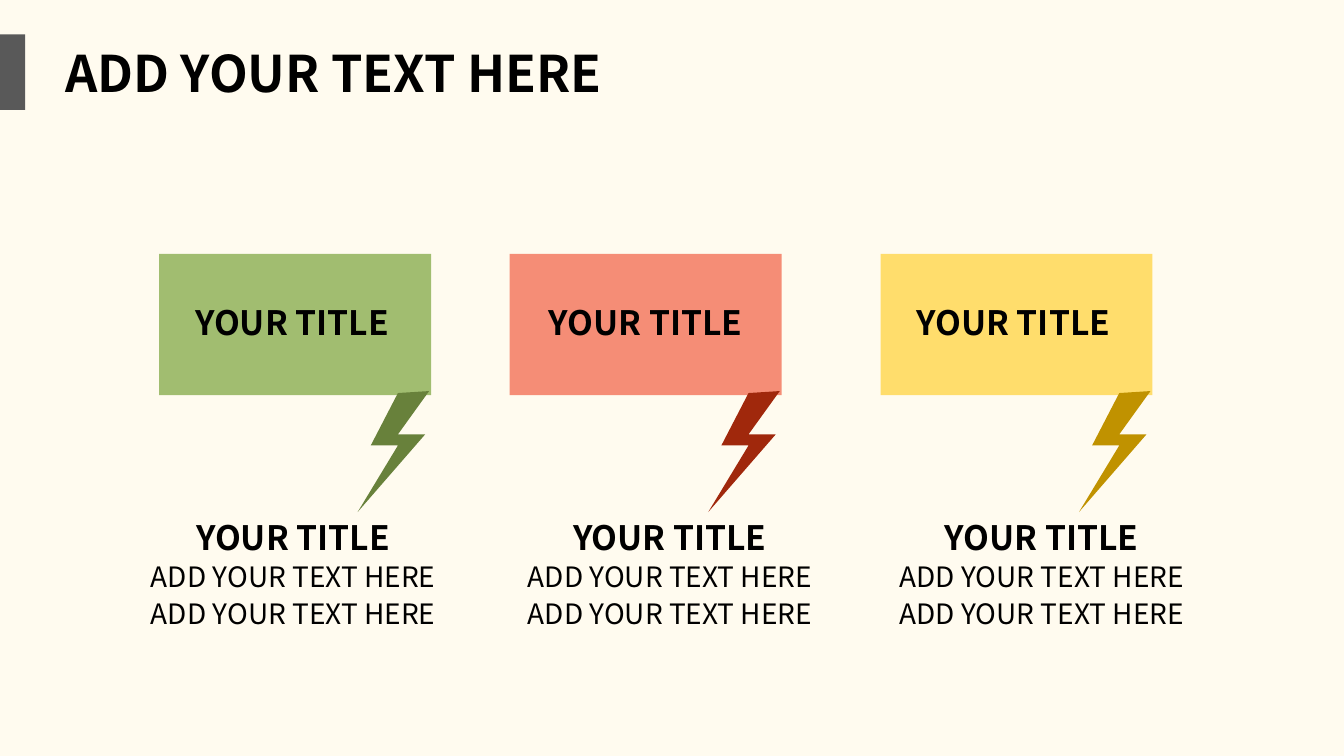
from pptx import Presentation
from pptx.dml.color import RGBColor
from pptx.enum.shapes import MSO_SHAPE
from pptx.enum.text import MSO_AUTO_SIZE, PP_ALIGN
from pptx.util import Inches, Pt

COLORS = {
    "background": "FFFBEF",
    "text": "000000",
    "marker": "595959",
    "green": "A1BD70",
    "dark green": "68813B",
    "coral": "F58D76",
    "dark coral": "A0280C",
    "yellow": "FFDD6C",
    "dark yellow": "C09200",
}

BOLT = [(2.37, 1.38), (2.1, 1.9), (2.37, 1.9), (1.97, 2.56),
        (2.64, 1.79), (2.37, 1.79), (2.68, 1.36)]

CARDS = [
    ("green", 1.58, 1.84, 1.4),
    ("coral", 5.06, 5.35, 5.14),
    ("yellow", 8.74, 9, 8.83),
]
CARD_TOP = 2.52


class SlidePainter:
    font = "Noto Sans CJK SC"

    def __init__(self, page):
        self.page = page
        page.background.fill.solid()
        page.background.fill.fore_color.rgb = self.color("background")

    def color(self, name):
        return RGBColor.from_string(COLORS[name])

    def paint(self, shape, color):
        shape.shadow.inherit = False
        shape.fill.solid()
        shape.fill.fore_color.rgb = self.color(color)
        shape.line.fill.background()

    def rectangle(self, left, top, width, height, color):
        shape = self.page.shapes.add_shape(
            MSO_SHAPE.RECTANGLE, Inches(left), Inches(top), Inches(width), Inches(height))
        self.paint(shape, color)

    def bolt(self, left, top, color):
        points = [(Inches(left + x), Inches(top + y)) for x, y in BOLT]
        builder = self.page.shapes.build_freeform(*points[0])
        builder.add_line_segments(points[1:], close=True)
        self.paint(builder.convert_to_shape(), color)

    def text(self, left, top, width, height, words, size, bold=False):
        box = self.page.shapes.add_textbox(
            Inches(left), Inches(top), Inches(width), Inches(height))
        frame = box.text_frame
        frame.word_wrap = False
        frame.auto_size = MSO_AUTO_SIZE.SHAPE_TO_FIT_TEXT
        para = frame.paragraphs[0]
        para.text = words
        para.alignment = PP_ALIGN.LEFT
        para.font.name = self.font
        para.font.size = Pt(size)
        para.font.bold = bold
        para.font.color.rgb = self.color("text")

    def title(self, left, top):
        self.text(left, top, 2.12, 0.5, "YOUR TITLE", 24, bold=True)

    def caption(self, left):
        self.title(left + 0.45, 5.08)
        for top in (5.5, 5.87):
            self.text(left, top, 3.07, 0.44, "ADD YOUR TEXT HERE", 20)


def main():
    deck = Presentation()
    deck.slide_width = Inches(13.34)
    deck.slide_height = Inches(7.5)
    painter = SlidePainter(deck.slides.add_slide(deck.slide_layouts[6]))

    painter.rectangle(0, 0.34, 0.25, 0.75, "marker")
    painter.text(0.55, 0.37, 5.56, 0.7, "ADD YOUR TEXT HERE", 36, bold=True)

    for color, card_left, title_left, caption_left in CARDS:
        painter.rectangle(card_left, CARD_TOP, 2.7, 1.4, color)
        painter.bolt(card_left, CARD_TOP, f"dark {color}")
        painter.title(title_left, 2.95)
        painter.caption(caption_left)

    deck.save("out.pptx")


if __name__ == "__main__":
    main()
